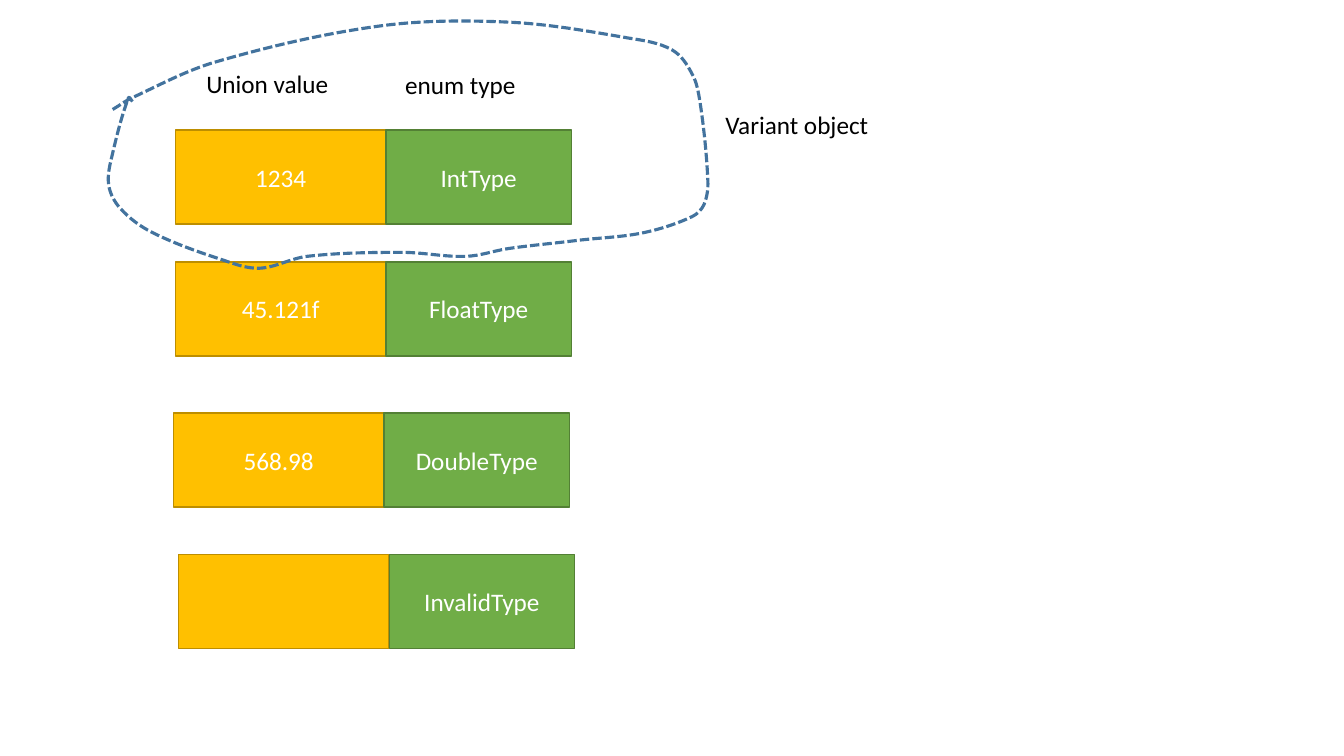
from dataclasses import dataclass

from lxml import etree
from pptx import Presentation
from pptx.dml.color import RGBColor
from pptx.enum import dml, shapes, text
from pptx.oxml import ns
from pptx.util import Cm, Pt


@dataclass(frozen=True)
class Theme:
    font: str = "Calibri"
    size: int = 18
    dark: str = "000000"
    light: str = "FFFFFF"
    value_fill: str = "FFC000"
    value_line: str = "BD8E00"
    type_fill: str = "70AD47"
    type_line: str = "538035"
    outline: str = "43739E"


THEME = Theme()
VALUE_WIDTH, TYPE_WIDTH, ROW_HEIGHT = 5.31, 4.67, 2.37
LABEL_HEIGHT = 1.02

# left, top, union value, enum type
VARIANTS = [
    (4.42, 3.28, "1234", "IntType"),
    (4.42, 6.6, "45.121f", "FloatType"),
    (4.37, 10.41, "568.98", "DoubleType"),
    (4.5, 13.97, "", "InvalidType"),
]
# left, top, width, wording
LABELS = [
    (4.95, 1.6, 4.11, "Union value"),
    (9.96, 1.63, 4.11, "enum type"),
    (18.03, 2.62, 4.65, "Variant object"),
]
# Points that the loop passes, in millimetres from the corner of its box
LOOP_POINTS = [
    (1, 22), (6, 19), (27, 10), (68, 1), (101, 0), (131, 4), (142, 7),
    (147, 13), (149, 20), (151, 40), (150, 46), (147, 49), (135, 53),
    (118, 55), (101, 57), (90, 59), (74, 58), (50, 59), (38, 62),
    (29, 60), (11, 53), (3, 47), (0, 41), (1, 33), (5, 19), (6, 20),
]


def color(value):
    return RGBColor.from_string(value)


def write(shape, wording, ink, alignment):
    paragraph = shape.text_frame.paragraphs[0]
    paragraph.text = wording
    paragraph.alignment = alignment
    paragraph.font.name = THEME.font
    paragraph.font.size = Pt(THEME.size)
    paragraph.font.color.rgb = color(ink)


def add_cell(slide, left, top, width, wording, fill, line):
    cell = slide.shapes.add_shape(
        shapes.MSO_SHAPE.RECTANGLE, Cm(left), Cm(top), Cm(width), Cm(ROW_HEIGHT))
    cell.shadow.inherit = False
    cell.fill.solid()
    cell.fill.fore_color.rgb = color(fill)
    cell.line.color.rgb = color(line)
    cell.line.width = Pt(1)
    cell.text_frame.vertical_anchor = text.MSO_ANCHOR.MIDDLE
    if wording:
        write(cell, wording, THEME.light, text.PP_ALIGN.CENTER)


def add_variant(slide, left, top, value, type_name):
    """Draw a union value with its enum type joined on the right."""
    add_cell(slide, left, top, VALUE_WIDTH, value, THEME.value_fill, THEME.value_line)
    add_cell(slide, left + VALUE_WIDTH, top, TYPE_WIDTH, type_name,
             THEME.type_fill, THEME.type_line)


def add_label(slide, left, top, width, wording):
    label = slide.shapes.add_textbox(Cm(left), Cm(top), Cm(width), Cm(LABEL_HEIGHT))
    label.text_frame.word_wrap = True
    label.text_frame.auto_size = text.MSO_AUTO_SIZE.SHAPE_TO_FIT_TEXT
    write(label, wording, THEME.dark, text.PP_ALIGN.LEFT)


def smooth_controls(points):
    """Return two handles and an end point for each stretch of a smooth curve."""
    knots = [complex(x, y) for x, y in points]
    directions = []
    for before, after in zip(knots[:1] + knots[:-1], knots[1:] + knots[-1:]):
        directions.append((after - before) / abs(after - before))
    controls = []
    for i in range(len(knots) - 1):
        start, end = knots[i], knots[i + 1]
        reach = abs(end - start) / 3
        controls += [start + reach * directions[i],
                     end - reach * directions[i + 1], end]
    return [(point.real, point.imag) for point in controls]


def bend_lines(loop):
    """Turn each three straight lines into one Bézier curve."""
    outline = next(loop.element.iter(ns.qn("a:path")))
    lines = outline.findall(ns.qn("a:lnTo"))
    for i, line in enumerate(lines):
        if i % 3 == 0:
            curve = etree.SubElement(outline, ns.qn("a:cubicBezTo"))
        curve.append(line[0])
        outline.remove(line)


def add_loop(slide, left, top):
    """Draw the dashed loop that marks one variant object."""
    start, *controls = [(10 * x, 10 * y) for x, y in
                        LOOP_POINTS[:1] + smooth_controls(LOOP_POINTS)]
    builder = slide.shapes.build_freeform(*start, scale=Cm(0.01))
    builder.add_line_segments(controls, close=False)
    loop = builder.convert_to_shape(Cm(left), Cm(top))
    bend_lines(loop)
    loop.shadow.inherit = False
    loop.fill.background()
    loop.line.color.rgb = color(THEME.outline)
    loop.line.width = Pt(2.25)
    loop.line.dash_style = dml.MSO_LINE.SQUARE_DOT


def main():
    presentation = Presentation()
    presentation.slide_width, presentation.slide_height = Cm(33.87), Cm(19.05)
    slide = presentation.slides.add_slide(presentation.slide_layouts[6])
    for variant in VARIANTS:
        add_variant(slide, *variant)
    add_loop(slide, 2.74, 0.56)
    for label in LABELS:
        add_label(slide, *label)
    presentation.save("out.pptx")


if __name__ == "__main__":
    main()
